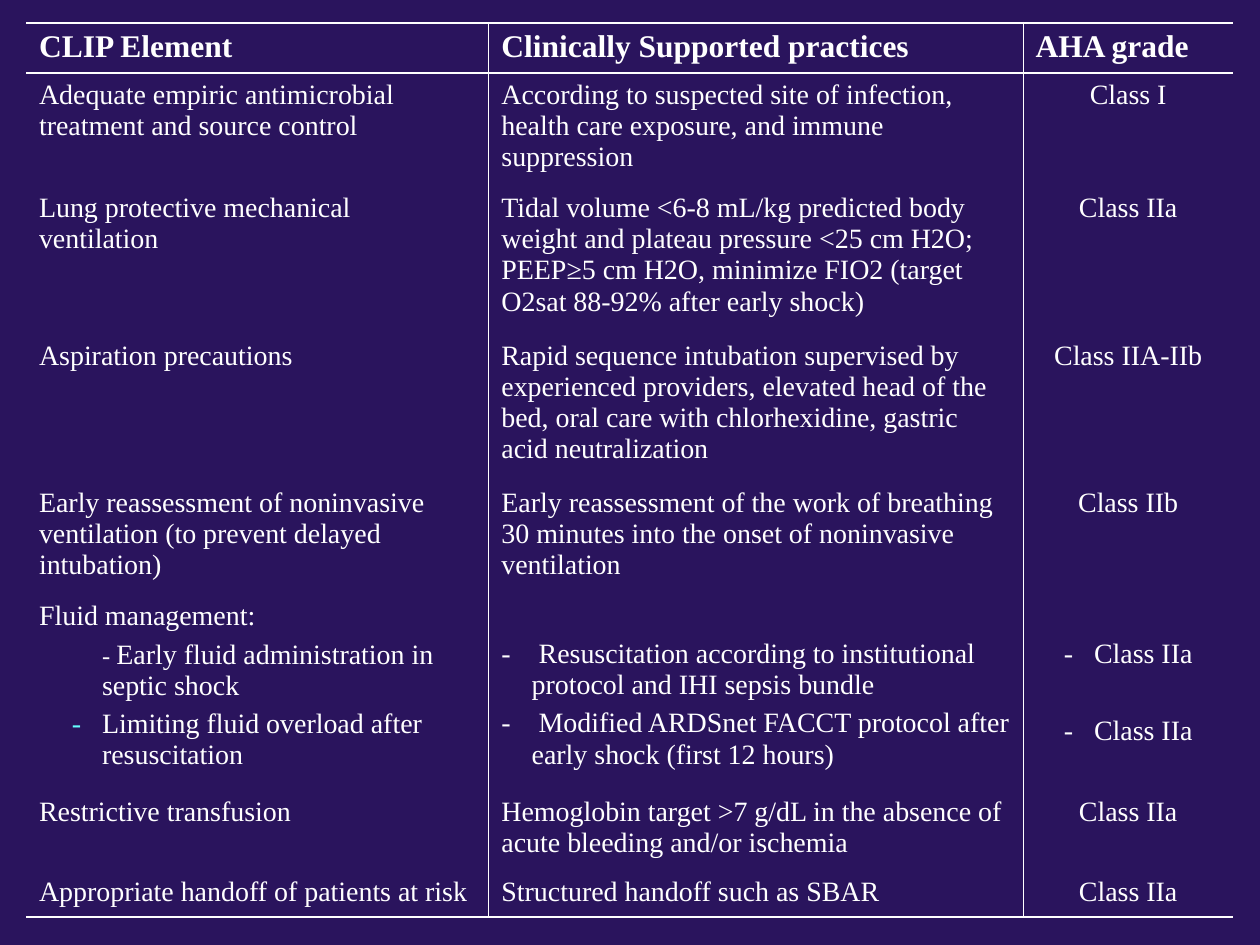
import pptx
import pptx.dml.color
import pptx.enum.text
import pptx.oxml.ns
import pptx.util
from lxml import etree

Inches = pptx.util.Inches
Pt = pptx.util.Pt
CENTER = pptx.enum.text.PP_ALIGN.CENTER
LEFT = pptx.enum.text.PP_ALIGN.LEFT

FONT = "Times New Roman"
WHITE = "FFFFFF"
NO_STYLE = "{2D5ABB26-0587-4C30-8999-92F81FD0307C}"
COLS = [3.67, 4.24, 1.67]
HEIGHTS = [0.4, 0.9, 1.17, 1.17, 0.9, 1.55, 0.64, 0.37]


def rgb(value):
    return pptx.dml.color.RGBColor.from_string(value)


def sub(parent, tag, **attrs):
    return etree.SubElement(parent, pptx.oxml.ns.qn(tag), attrs)


def para(*runs, **fmt):
    return {"runs": runs, **fmt}


def dash(text, margin=0.24, color=WHITE, before=4):
    return para(text, margin=margin, hang=0.24, bullet=color, before=before)


FLUID_ELEMENTS = [
    para("Fluid management:"),
    para(("- ", 14), "Early fluid administration in septic shock", margin=0.5),
    dash("Limiting fluid overload after resuscitation", 0.5, "66FFFF"),
]
FLUID_PRACTICES = [
    dash(" Resuscitation according to institutional protocol and IHI sepsis bundle"),
    dash(" Modified ARDSnet FACCT protocol after early shock (first 12 hours)"),
]
FLUID_GRADES = [dash("Class IIa"), dash("Class IIa", before=26)]

ROWS = [
    ("CLIP Element", "Clinically Supported practices", "AHA grade"),
    ("Adequate empiric antimicrobial treatment and source control",
     "According to suspected site of infection, health care exposure, and immune suppression",
     "Class I"),
    ("Lung protective mechanical ventilation",
     "Tidal volume <6-8 mL/kg predicted body weight and plateau pressure <25 cm H2O; "
     "PEEP≥5 cm H2O, minimize FIO2 (target O2sat 88-92% after early shock)",
     "Class IIa"),
    ("Aspiration precautions",
     "Rapid sequence intubation supervised by experienced providers, elevated head of the bed, "
     "oral care with chlorhexidine, gastric acid neutralization",
     "Class IIA-IIb"),
    ("Early reassessment of noninvasive ventilation (to prevent delayed intubation)",
     "Early reassessment of the work of breathing 30 minutes into the onset of noninvasive ventilation",
     "Class IIb"),
    (FLUID_ELEMENTS, FLUID_PRACTICES, FLUID_GRADES),
    ("Restrictive transfusion",
     "Hemoglobin target >7 g/dL in the absence of acute bleeding and/or ischemia",
     "Class IIa"),
    ("Appropriate handoff of patients at risk", "Structured handoff such as SBAR", "Class IIa"),
]


def set_borders(cell, row, col):
    last_row, last_col = len(ROWS) - 1, len(COLS) - 1
    rules = {0: 1.08, 1: 1.47, last_row + 1: 1.08}
    widths = {
        "L": 0.45 if col > 0 else 0,
        "R": 0.45 if col < last_col else 0,
        "T": rules.get(row, 0),
        "B": rules.get(row + 1, 0),
    }
    tcPr = cell._tc.get_or_add_tcPr()
    for side, width in widths.items():
        ln = sub(tcPr, f"a:ln{side}", w=str(Pt(width)))
        if width:
            sub(sub(ln, "a:solidFill"), "a:srgbClr", val=WHITE)
        else:
            sub(ln, "a:noFill")


def set_bullet(p, color):
    pPr = p._p.get_or_add_pPr()
    if color:
        sub(sub(pPr, "a:buClr"), "a:srgbClr", val=color)
        sub(pPr, "a:buFont", typeface=FONT)
        sub(pPr, "a:buChar", char="-")
    else:
        sub(pPr, "a:buNone")


def add_run(p, text, size, bold):
    r = p.add_run()
    r.text = text
    for name, value in {"name": FONT, "size": Pt(size), "bold": bold}.items():
        setattr(r.font, name, value)
    r.font.color.rgb = rgb(WHITE)


def fill_paragraph(p, content, align, header, first):
    p.alignment = align
    p.space_before = Pt(0 if first else content.get("before", 4))
    pPr = p._p.get_or_add_pPr()
    pPr.set("marL", str(Inches(content.get("margin", 0))))
    pPr.set("indent", str(-Inches(content.get("hang", 0))))
    set_bullet(p, content.get("bullet"))
    for run in content["runs"]:
        text, size = run if isinstance(run, tuple) else (run, 18 if header else 16)
        add_run(p, text, size, header)


def fill_cell(cell, content, row, col):
    paras = [para(content)] if isinstance(content, str) else content
    top = 0.35 if "bullet" in paras[0] else 0.05
    margins = {"left": 0.1, "top": top, "right": 0.1, "bottom": 0.05}
    for side, value in margins.items():
        setattr(cell, f"margin_{side}", Inches(value))
    set_borders(cell, row, col)
    cell.fill.background()
    header = row == 0
    align = CENTER if col == 2 and not header else LEFT
    tf = cell.text_frame
    for i, item in enumerate(paras):
        p = tf.add_paragraph() if i else tf.paragraphs[0]
        fill_paragraph(p, item, align, header, i == 0)


def add_practice_table(s):
    frame = s.shapes.add_table(len(ROWS), len(COLS), Inches(0.21), Inches(0.18),
                               Inches(sum(COLS)), Inches(sum(HEIGHTS)))
    table = frame.table
    table.horz_banding = False
    table._tbl.tblPr.find(pptx.oxml.ns.qn("a:tableStyleId")).text = NO_STYLE
    for column, width in zip(table.columns, COLS):
        column.width = Inches(width)
    for row, height in zip(table.rows, HEIGHTS):
        row.height = Inches(height)
    for i, row in enumerate(ROWS):
        for j, content in enumerate(row):
            fill_cell(table.cell(i, j), content, i, j)


def main():
    prs = pptx.Presentation()
    prs.slide_width, prs.slide_height = Inches(10), Inches(7.5)
    s = prs.slides.add_slide(prs.slide_layouts[6])
    s.background.fill.solid()
    s.background.fill.fore_color.rgb = rgb("2A145D")
    add_practice_table(s)
    prs.save("out.pptx")


if __name__ == "__main__":
    main()
